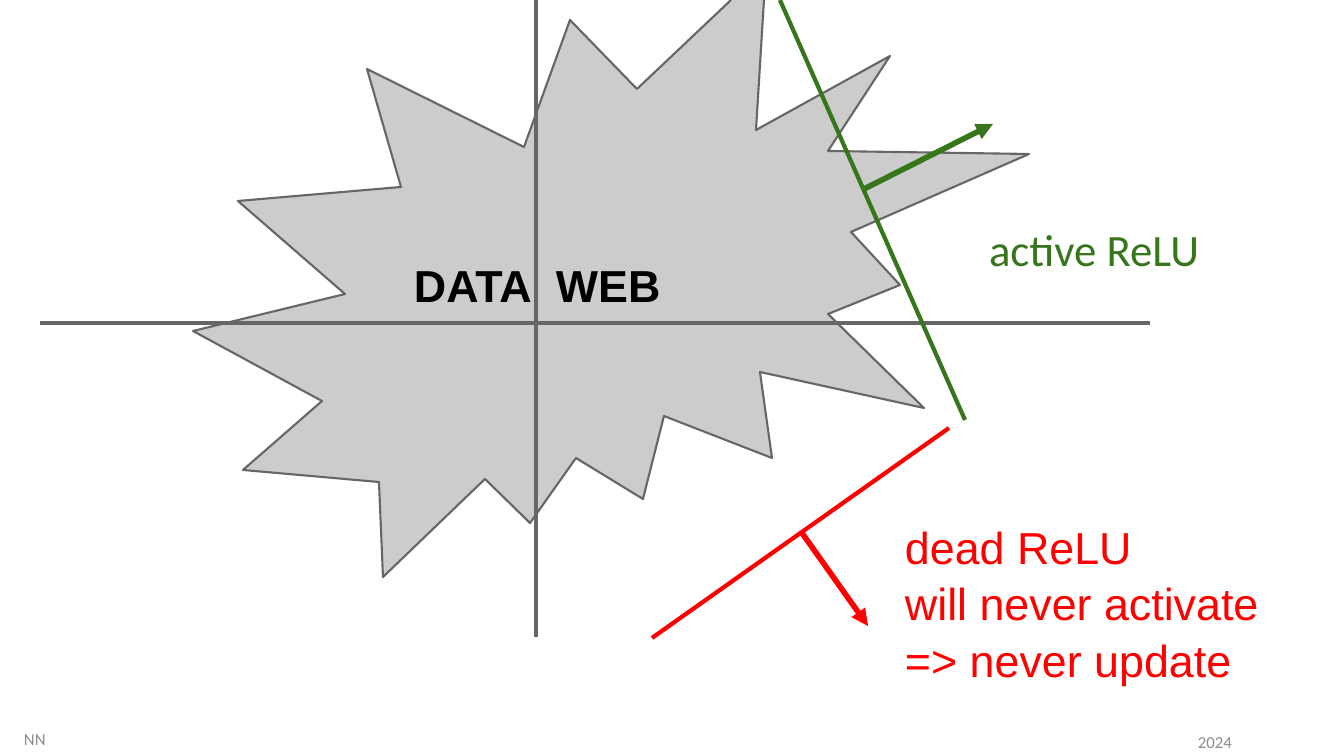
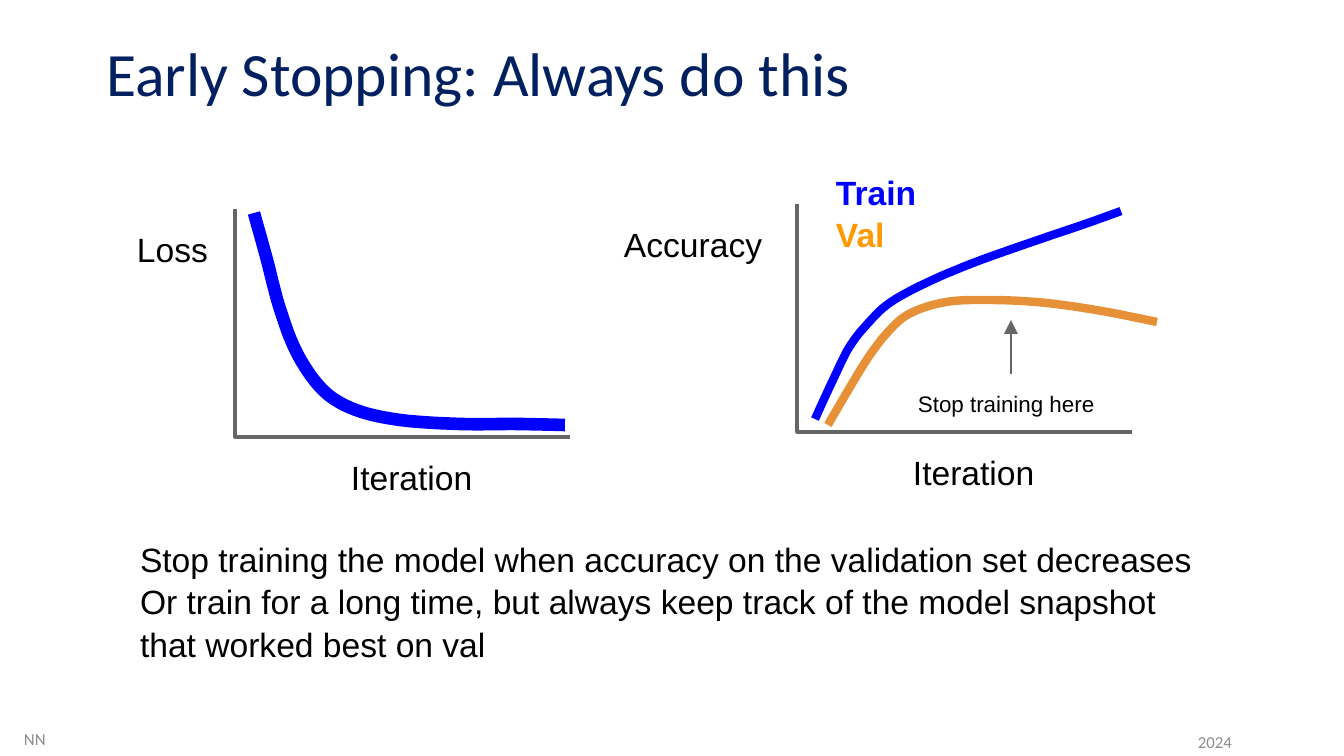
from lxml import etree
from pptx import Presentation
from pptx import util as u
from pptx.dml import color
from pptx.enum import shapes, text
from pptx.oxml import ns

PX = 9071
BLACK = color.RGBColor(0x00, 0x00, 0x00)
GREY = color.RGBColor(0x66, 0x66, 0x66)
LIGHT_GREY = color.RGBColor(0xCC, 0xCC, 0xCC)
FOOTER_GREY = color.RGBColor(0x8C, 0x8C, 0x8C)
NAVY = color.RGBColor(0x00, 0x20, 0x60)
GREEN = color.RGBColor(0x38, 0x76, 0x1D)
RED = color.RGBColor(0xFF, 0x00, 0x00)
BLUE = color.RGBColor(0x00, 0x00, 0xFF)
ORANGE = color.RGBColor(0xFF, 0x99, 0x00)
DARK_ORANGE = color.RGBColor(0xE6, 0x91, 0x38)

FRAME = {
    "margin_left": 0, "margin_right": 0, "margin_top": 0, "margin_bottom": 0,
    "word_wrap": True, "auto_size": text.MSO_AUTO_SIZE.NONE,
    "vertical_anchor": text.MSO_ANCHOR.TOP,
}
FONTS = {
    "title": {"name": "Calibri", "size": u.Pt(44)},
    "subtitle": {"name": "Calibri", "size": u.Pt(32)},
    "footer": {"name": "Calibri", "size": u.Pt(12)},
    "large": {"name": "Arial", "size": u.Pt(32)},
    "large bold": {"name": "Arial", "size": u.Pt(32), "bold": True},
    "body": {"name": "Arial", "size": u.Pt(24)},
    "legend": {"name": "Arial", "size": u.Pt(24), "bold": True},
    "note": {"name": "Arial", "size": u.Pt(16)},
}


def add_text(slide, box, style, lines, align=text.PP_ALIGN.LEFT):
    shape = slide.shapes.add_textbox(*(value * PX for value in box))
    frame = shape.text_frame
    for name, value in FRAME.items():
        setattr(frame, name, value)
    for index, (line, colour) in enumerate(lines):
        paragraph = frame.paragraphs[0] if index == 0 else frame.add_paragraph()
        paragraph.text = line
        paragraph.alignment = align
        paragraph.line_spacing = 1.05 if box[3] > 60 and style != "title" else 1.0
        for name, value in FONTS[style].items():
            setattr(paragraph.font, name, value)
        paragraph.font.color.rgb = colour


def add_path(slide, points, colour, width, fill=None):
    fine = [(x * 10, y * 10) for x, y in points]
    builder = slide.shapes.build_freeform(*fine[0], scale=PX / 10)
    builder.add_line_segments(fine[1:], close=False)
    shape = builder.convert_to_shape()
    shape.shadow.inherit = False
    shape.line.color.rgb = colour
    shape.line.width = u.Pt(width)
    if fill is None:
        shape.fill.background()
    else:
        shape.fill.solid()
        shape.fill.fore_color.rgb = fill


presentation = Presentation()
presentation.slide_width = 1344 * PX
presentation.slide_height = 756 * PX
blank = presentation.slide_layouts[6]
relu_slide = presentation.slides.add_slide(blank)
stopping_slide = presentation.slides.add_slide(blank)

for slide in (relu_slide, stopping_slide):
    add_text(slide, (24, 729, 560, 22), "footer", [("NN", FOOTER_GREY)])
    add_text(slide, (1098, 732, 234, 22), "footer", [("2024", FOOTER_GREY)],
             text.PP_ALIGN.CENTER)

data_burst = [
    (764, 0), (756, 130), (890, 56), (828, 151), (1029, 154), (851, 232),
    (900, 285), (828, 314), (924, 408), (760, 372), (772, 458), (664, 416),
    (643, 499), (576, 458), (530, 523), (485, 479), (383, 577), (379, 482),
    (243, 470), (322, 401), (193, 331), (345, 294), (238, 201), (401, 187),
    (367, 69), (524, 147), (570, 20), (637, 89), (731, 0),
]
add_path(relu_slide, data_burst, GREY, 1.5, LIGHT_GREY)

plots = [
    (235, 209, "Loss", 137),
    (797, 204, "Accuracy", 624),
]
for left, top, label, label_left in plots:
    bottom = top + 228
    add_path(stopping_slide, [(left, top), (left, bottom), (left + 335, bottom)],
             GREY, 2.25)
    add_text(stopping_slide, (label_left, top + 20, 150, 42), "body", [(label, BLACK)])
    add_text(stopping_slide, (left + 116, bottom + 20, 140, 42), "body",
             [("Iteration", BLACK)])

curves = [
    (BLUE, 9, [(254, 213), (266, 256), (280, 309), (298, 355), (324, 391),
               (356, 410), (400, 420), (459, 424), (515, 424), (565, 425)]),
    (BLUE, 6, [(815, 419), (833, 380), (850, 346), (871, 320), (891, 302),
               (926, 283), (973, 263), (1032, 242), (1085, 224), (1121, 211)]),
    (DARK_ORANGE, 6, [(828, 425), (846, 394), (868, 358), (888, 332), (909, 314),
                      (941, 303), (977, 300), (1036, 302), (1096, 310), (1157, 322)]),
]
STEPS = 6
for colour, width, knots in curves:
    padded = [knots[0], *knots, knots[-1]]
    smooth_points = []
    for before, start, end, after in zip(padded, padded[1:], padded[2:], padded[3:]):
        for step in range(STEPS):
            t = step / STEPS
            smooth_points.append(tuple(
                b + (c - a) * t / 2
                + (2 * a - 5 * b + 4 * c - d) * t ** 2 / 2
                + (3 * b - a - 3 * c + d) * t ** 3 / 2
                for a, b, c, d in zip(before, start, end, after)))
    add_path(stopping_slide, smooth_points + [knots[-1]], colour, width)

straight_lines = [
    (relu_slide, (536, 0, 536, 637), GREY, 2.25, None),
    (relu_slide, (40, 323, 1150, 323), GREY, 2.25, None),
    (relu_slide, (780, 0, 965, 420), GREEN, 3, None),
    (relu_slide, (862, 190, 993, 124), GREEN, 4, "med"),
    (relu_slide, (949, 428, 652, 638), RED, 3, None),
    (relu_slide, (802, 533, 868, 626), RED, 4, "med"),
    (stopping_slide, (1011, 374, 1011, 320), GREY, 1.5, "lg"),
]
for slide, ends, colour, width, head in straight_lines:
    connector = slide.shapes.add_connector(
        shapes.MSO_CONNECTOR.STRAIGHT, *(value * PX for value in ends))
    connector.line.color.rgb = colour
    connector.line.width = u.Pt(width)
    properties = connector._element.spPr
    if head:
        etree.SubElement(properties.find(ns.qn("a:ln")), ns.qn("a:tailEnd"),
                         type="triangle", w=head, len=head)
    etree.SubElement(properties, ns.qn("a:effectLst"))

labels = [
    (relu_slide, (414, 258, 122, 56), "large bold", [("DATA", BLACK)]),
    (relu_slide, (556, 258, 150, 56), "large bold", [("WEB", BLACK)]),
    (relu_slide, (989, 222, 248, 56), "subtitle", [("active ReLU", GREEN)]),
    (relu_slide, (905, 517, 380, 164), "large",
     [("dead ReLU", RED), ("will never activate", RED), ("=> never update", RED)]),
    (stopping_slide, (106, 35, 1130, 77), "title",
     [("Early Stopping: Always do this", NAVY)]),
    (stopping_slide, (836, 170, 100, 84), "legend", [("Train", BLUE), ("Val", ORANGE)]),
    (stopping_slide, (918, 390, 200, 30), "note", [("Stop training here", BLACK)]),
    (stopping_slide, (140, 537, 1060, 124), "body",
     [("Stop training the model when accuracy on the validation set decreases", BLACK),
      ("Or train for a long time, but always keep track of the model snapshot "
       "that worked best on val", BLACK)]),
]
for slide, box, style, lines in labels:
    add_text(slide, box, style, lines)

presentation.save("out.pptx")
